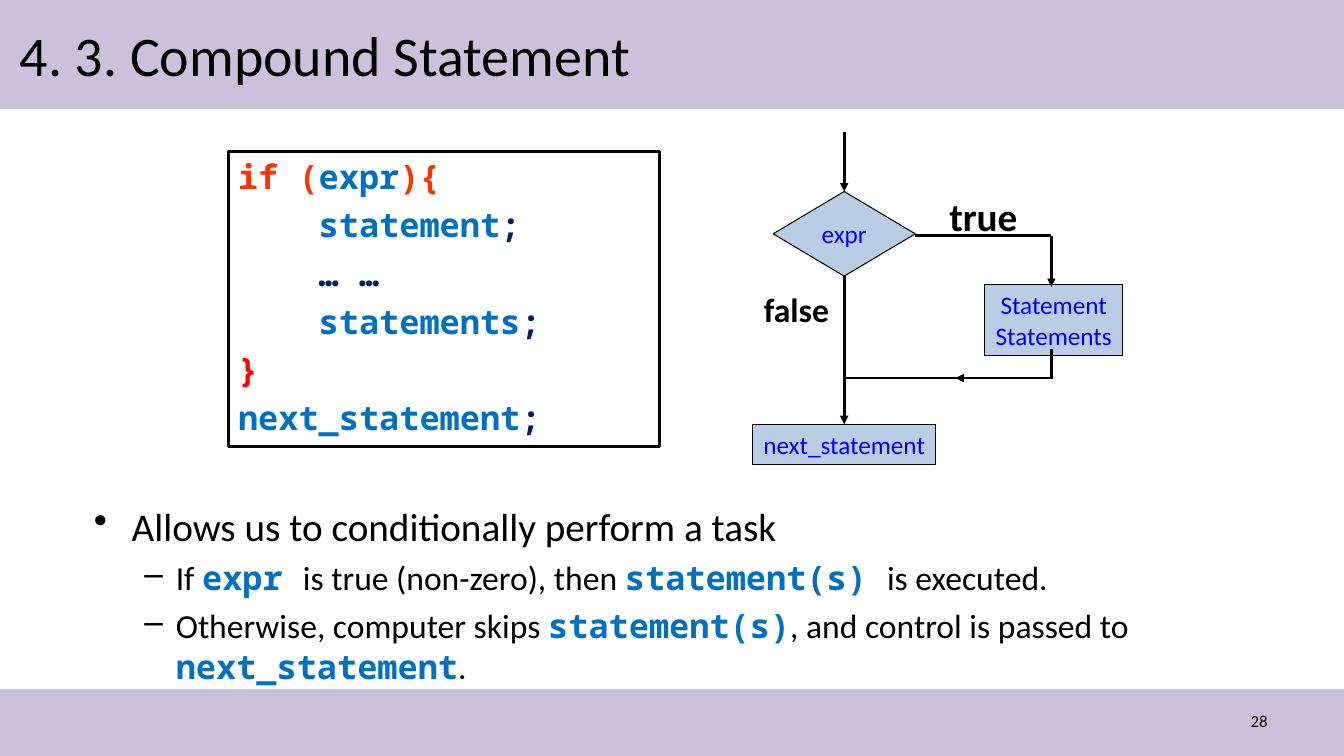
from dataclasses import dataclass

from pptx import Presentation
from pptx.dml.color import RGBColor
from pptx.enum.shapes import MSO_CONNECTOR, MSO_SHAPE
from pptx.enum.text import MSO_ANCHOR, MSO_AUTO_SIZE, PP_ALIGN
from pptx.oxml.ns import qn
from pptx.oxml.xmlchemy import OxmlElement
from pptx.util import Pt


@dataclass(frozen=True)
class Theme:
    """Colours, fonts and type sizes of the slide."""
    band: str = "CCC1DA"
    node: str = "B9CDE5"
    black: str = "000000"
    label: str = "0000FF"
    keyword: str = "FF3300"
    brace: str = "FF0000"
    name: str = "0070C0"
    mark: str = "002060"
    sans: str = "Calibri"
    mono: str = "Noto Sans Mono"
    title_size: float = 40
    large: float = 28
    medium: float = 24
    small: float = 18
    number_size: float = 12
    thick: float = 2
    thin: float = 0.75


THEME = Theme()
WIDTH, HEIGHT = 960, 540
TITLE = "4. 3. Compound Statement"
PAGE_NUMBER = "28"
BANDS = [(0, 0, WIDTH, 78), (0, 492, WIDTH, 48)]

CODE = [
    [("if (", THEME.keyword), ("expr", THEME.name), ("){", THEME.keyword)],
    [("    statement", THEME.name), (";", THEME.mark)],
    [("    … …", THEME.mark)],
    [("    statements", THEME.name), (";", THEME.mark)],
    [("}", THEME.brace)],
    [("next_statement", THEME.name), (";", THEME.mark)],
]

BULLETS = [
    ("•", 27, 27, THEME.large, [("Allows us to conditionally perform a task", False)]),
    ("–", 58.5, 22.5, THEME.medium, [
        ("If ", False), ("expr ", True), ("is true (non-zero), then ", False),
        ("statement(s) ", True), ("is executed.", False)]),
    ("–", 58.5, 22.5, THEME.medium, [
        ("Otherwise, computer skips ", False), ("statement(s)", True),
        (", and control is passed to ", False), ("next_statement", True), (".", False)]),
]

AXIS, BRANCH = 603, 751
BRANCH_TOP, MERGE = 168.5, 270
NODES = {
    "expr": (MSO_SHAPE.DIAMOND, (AXIS - 50.75, 136.8, 101.5, 60.5), ["expr"]),
    "next": (MSO_SHAPE.RECTANGLE, (AXIS - 65.5, 303, 131, 28.8), ["next_statement"]),
    "body": (MSO_SHAPE.RECTANGLE, (703.4, 203, 98.6, 51), ["Statement", "Statements"]),
}
FLOWS = [
    ((AXIS, 94.5), (AXIS, 136.8), True, None, ("expr", 0)),
    ((AXIS, 197.3), (AXIS, 303), True, ("expr", 2), ("next", 0)),
    ((653.75, BRANCH_TOP), (BRANCH, BRANCH_TOP), False, None, None),
    ((BRANCH, BRANCH_TOP), (BRANCH, 205), True, None, None),
    ((BRANCH, 249), (BRANCH, MERGE), False, None, None),
    ((BRANCH, MERGE), (AXIS, MERGE), False, None, None),
    ((BRANCH + 1.4, MERGE), (682.5, MERGE), True, None, None),
]
BRANCH_LABELS = [
    ("true", (671, 134, 64, 41), THEME.large),
    ("false", (538.5, 202.5, 62, 36.5), THEME.medium),
]


def color(value):
    """Turn a hex string into a colour."""
    return RGBColor.from_string(value)


def points(values):
    """Turn numbers into lengths in points."""
    return [Pt(value) for value in values]


def add_run(paragraph, text, size, tone=THEME.black, family=THEME.sans, bold=False):
    """Append one formatted run."""
    run = paragraph.add_run()
    run.text = text
    run.font.size = Pt(size)
    run.font.name = family
    run.font.bold = bold
    run.font.color.rgb = color(tone)


def next_paragraph(frame, index, gap=0):
    """Return the paragraph at an index, spaced from the one above."""
    if index == 0:
        return frame.paragraphs[0]
    paragraph = frame.add_paragraph()
    paragraph.space_before = Pt(gap)
    return paragraph


def add_box(slide, kind, bounds, fill=None, line=None):
    """Add a preset shape without shadow."""
    shape = slide.shapes.add_shape(kind, *points(bounds))
    shape.shadow.inherit = False
    if fill:
        shape.fill.solid()
        shape.fill.fore_color.rgb = color(fill)
    else:
        shape.fill.background()
    if line:
        shape.line.color.rgb = color(THEME.black)
        shape.line.width = Pt(line)
    else:
        shape.line.fill.background()
    return shape


def add_text(slide, bounds, wrap=True):
    """Add a text box and return its frame."""
    frame = slide.shapes.add_textbox(*points(bounds)).text_frame
    frame.word_wrap = wrap
    return frame


def add_node(slide, kind, bounds, lines):
    """Add one labelled step of the flowchart."""
    shape = add_box(slide, kind, bounds, THEME.node, THEME.thin)
    frame = shape.text_frame
    frame.word_wrap = False
    frame.vertical_anchor = MSO_ANCHOR.MIDDLE
    for index, text in enumerate(lines):
        paragraph = next_paragraph(frame, index)
        paragraph.alignment = PP_ALIGN.CENTER
        add_run(paragraph, text, THEME.small, THEME.label)
    return shape


def add_flow(slide, nodes, start, end, arrow, source, target):
    """Add one flow line, joined to its nodes where named."""
    connector = slide.shapes.add_connector(MSO_CONNECTOR.STRAIGHT, *points(start + end))
    if source:
        connector.begin_connect(nodes[source[0]], source[1])
    if target:
        connector.end_connect(nodes[target[0]], target[1])
    connector.line.color.rgb = color(THEME.black)
    connector.line.width = Pt(THEME.thick)
    properties = connector._element.spPr
    if arrow:
        head = OxmlElement("a:tailEnd")
        head.set("type", "triangle")
        properties.find(qn("a:ln")).append(head)
    properties.append(OxmlElement("a:effectLst"))


def add_code(slide):
    """Add the framed code sample."""
    frame = add_box(slide, MSO_SHAPE.RECTANGLE, (163, 108, 308, 211), line=THEME.thick).text_frame
    frame.word_wrap = True
    frame.vertical_anchor = MSO_ANCHOR.TOP
    for index, runs in enumerate(CODE):
        paragraph = next_paragraph(frame, index, 5.6)
        paragraph.alignment = PP_ALIGN.LEFT
        for text, tone in runs:
            add_run(paragraph, text, THEME.medium, tone, THEME.mono, True)


def add_bullets(slide):
    """Add the explanation in two bullet levels."""
    frame = add_text(slide, (60, 355, 756, 178.5))
    for index, (symbol, margin, hanging, size, runs) in enumerate(BULLETS):
        paragraph = next_paragraph(frame, index, 5.6)
        properties = paragraph._p.get_or_add_pPr()
        properties.set("marL", str(Pt(margin)))
        properties.set("indent", str(-Pt(hanging)))
        bullet = OxmlElement("a:buChar")
        bullet.set("char", symbol)
        properties.append(bullet)
        for text, is_code in runs:
            style = (THEME.name, THEME.mono, True) if is_code else ()
            add_run(paragraph, text, size, *style)


def add_title(slide):
    """Place and fill the title above the band."""
    title = slide.shapes.title
    title.left, title.top, title.width, title.height = points((7, 6, 864, 66))
    frame = title.text_frame
    frame.auto_size = MSO_AUTO_SIZE.NONE
    frame.vertical_anchor = MSO_ANCHOR.MIDDLE
    frame.paragraphs[0].alignment = PP_ALIGN.LEFT
    add_run(frame.paragraphs[0], TITLE, THEME.title_size)
    slide.shapes._spTree.append(title._element)


def main():
    """Build and save the slide."""
    presentation = Presentation()
    presentation.slide_width, presentation.slide_height = points((WIDTH, HEIGHT))
    slide = presentation.slides.add_slide(presentation.slide_layouts[5])
    for bounds in BANDS:
        add_box(slide, MSO_SHAPE.RECTANGLE, bounds, THEME.band)
    add_title(slide)
    number = add_text(slide, (688.5, 500.5, 224, 28.8))
    number.vertical_anchor = MSO_ANCHOR.MIDDLE
    number.paragraphs[0].alignment = PP_ALIGN.RIGHT
    add_run(number.paragraphs[0], PAGE_NUMBER, THEME.number_size)
    add_code(slide)
    nodes = {key: add_node(slide, *node) for key, node in NODES.items()}
    for flow in FLOWS:
        add_flow(slide, nodes, *flow)
    add_bullets(slide)
    for text, bounds, size in BRANCH_LABELS:
        add_run(add_text(slide, bounds, False).paragraphs[0], text, size, bold=True)
    presentation.save("out.pptx")


if __name__ == "__main__":
    main()
